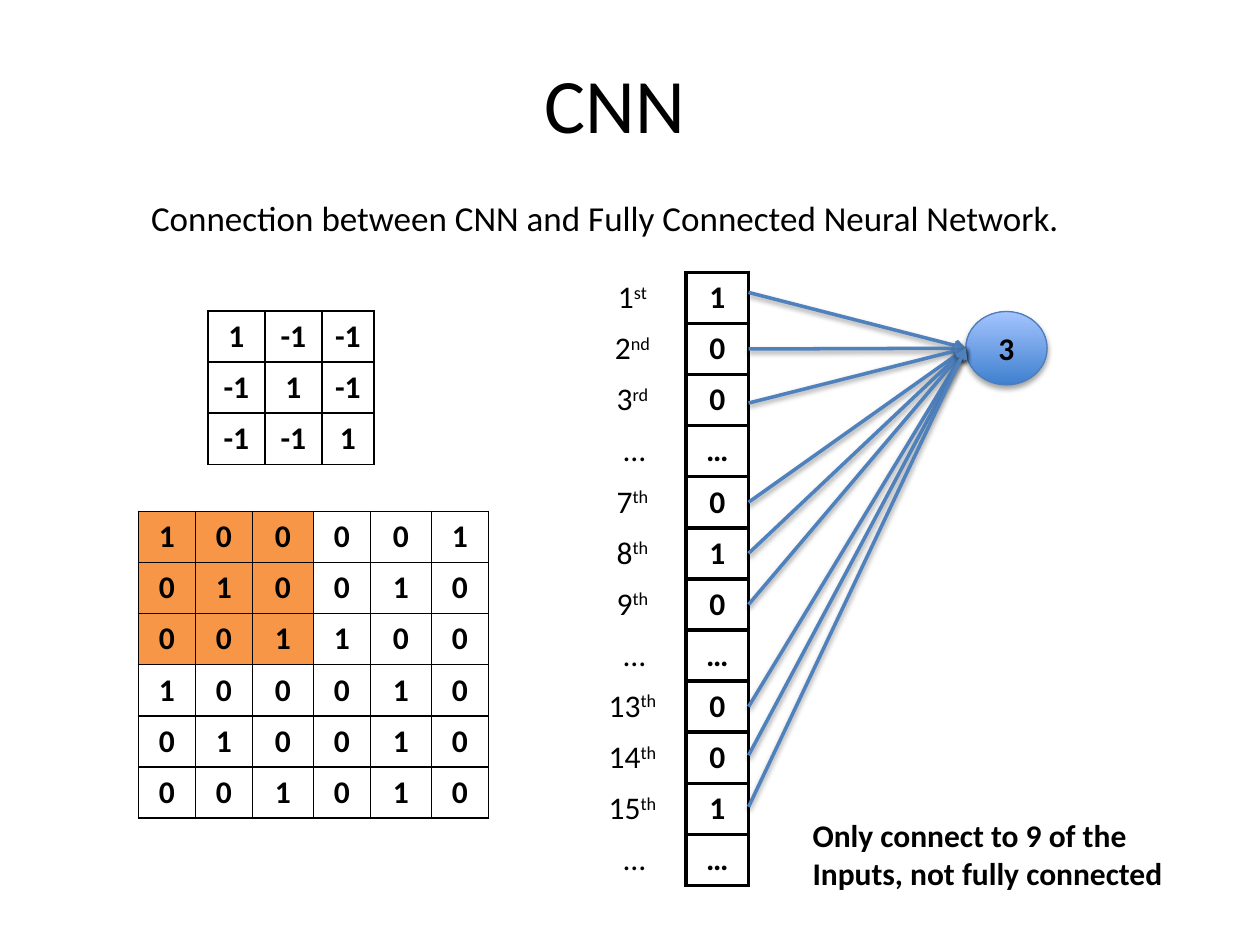
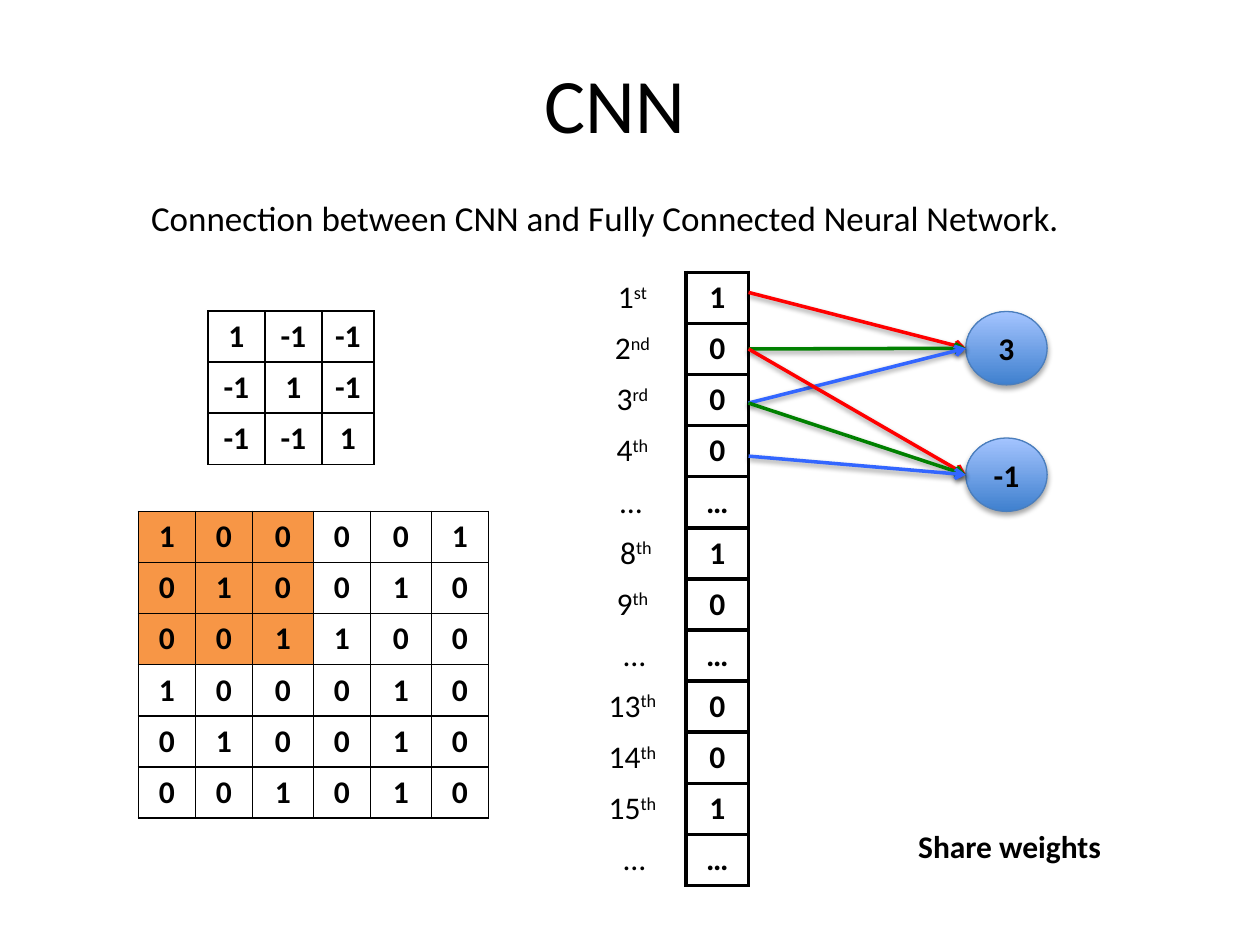
from lxml.etree import SubElement
from pptx import Presentation
from pptx.dml.color import RGBColor
from pptx.enum.shapes import MSO_CONNECTOR, MSO_SHAPE
from pptx.enum.text import MSO_ANCHOR, MSO_AUTO_SIZE, PP_ALIGN
from pptx.oxml.ns import qn
from pptx.util import Cm, Pt

COLORS = {
    "black": "000000", "white": "FFFFFF", "orange": "F79646",
    "blue": "4F81BD", "red": "FF0000", "green": "008000", "bright": "3366FF",
    "node_dark": "3F80CE", "node_light": "A4C4FF", "node_line": "4B7EBC",
}
FORMATS = {
    "title": {"name": "Calibri", "size": Pt(44)},
    "subtitle": {"name": "Calibri", "size": Pt(20)},
    "label": {"name": "Calibri", "size": Pt(18), "bold": False},
    "value": {"name": "Calibri", "size": Pt(18), "bold": True},
}

TITLE = "CNN"
SUBTITLE = "Connection between CNN and Fully Connected Neural Network."
FILTER = [[1, -1, -1], [-1, 1, -1], [-1, -1, 1]]
IMAGE = [
    [1, 0, 0, 0, 0, 1],
    [0, 1, 0, 0, 1, 0],
    [0, 0, 1, 1, 0, 0],
    [1, 0, 0, 0, 1, 0],
    [0, 1, 0, 0, 1, 0],
    [0, 0, 1, 0, 1, 0],
]
FIRST_LABELS = [("1", "st "), ("2", "nd "), ("3", "rd ")]
LAST_LABELS = [("…",), ("13", "th "), ("14", "th "), ("15", "th "), ("…",)]
LAST_INPUTS = ["…", 0, 0, 1, "…"]
SLIDES = [
    {
        "labels": [("…",), ("7", "th "), ("8", "th "), ("9", "th ")],
        "inputs": [1, 0, 0, "…", 0, 1, 0],
        "neurons": [("3", [(row, "blue") for row in (0, 1, 2, 4, 5, 6, 8, 9, 10)])],
        "note": ["Only connect to 9 of the", "Inputs, not fully connected"],
        "note_box": (16.13, 16.33, 7.67, 1.8),
    },
    {
        "labels": [("4", "th "), ("… ",), (" 8", "th "), ("9", "th ")],
        "inputs": [1, 0, 0, 0, "…", 1, 0],
        "neurons": [
            ("3", [(0, "red"), (1, "green"), (2, "bright")]),
            ("-1", [(1, "red"), (2, "green"), (3, "bright")]),
        ],
        "note": ["Share weights"],
        "note_box": (18.26, 16.54, 4.27, 1.02),
    },
]

ROW = 1.03
IMAGE_COLS = [1.15, 1.15, 1.23, 1.15, 1.23, 1.15]
FILTER_COLS = [1.15, 1.15, 1.05]
INPUT_X, INPUT_Y, INPUT_W = 13.83, 5.49, 1.26
LABEL_X, LABEL_W = 11.9, 1.78
NEURON_X, NEURON_Y, NEURON_W, NEURON_H, NEURON_STEP = 19.47, 6.28, 1.64, 1.48, 2.55
START_NUDGE = {0: -0.11, 2: 0.06, 3: 0.1, 9: -0.05, 10: -0.04}


def rgb(name):
    return RGBColor.from_string(COLORS[name])


def box(*lengths):
    return [Cm(v) for v in lengths]


def write(p, text, style, baseline=None):
    r = p.add_run()
    r.text = text
    for key, value in FORMATS[style].items():
        setattr(r.font, key, value)
    r.font.color.rgb = rgb("black")
    if baseline:
        r._r.get_or_add_rPr().set("baseline", str(baseline))


def add_shadow(sp, alpha, distance):
    effects = SubElement(sp._element.spPr, qn("a:effectLst"))
    shadow = SubElement(effects, qn("a:outerShdw"), blurRad=str(Pt(3.1)),
                        dist=str(Pt(distance)), dir="5400000", rotWithShape="0")
    color = SubElement(shadow, qn("a:srgbClr"), val=COLORS["black"])
    SubElement(color, qn("a:alpha"), val=str(alpha * 1000))


def add_borders(cell, width):
    tcPr = cell._tc.get_or_add_tcPr()
    for side in ("lnL", "lnR", "lnT", "lnB"):
        ln = SubElement(tcPr, qn(f"a:{side}"), w=str(Pt(width)))
        fill = SubElement(ln, qn("a:solidFill"))
        SubElement(fill, qn("a:srgbClr"), val=COLORS["black"])


def add_grid(s, x, y, cols, rows, style="value", border=None, marked=0):
    frame = s.shapes.add_table(len(rows), len(cols), *box(x, y, sum(cols), ROW * len(rows)))
    table = frame.table
    table.first_row = table.horz_banding = False
    for column, width in zip(table.columns, cols):
        column.width = Cm(width)
    for i, values in enumerate(rows):
        table.rows[i].height = Cm(ROW)
        for j, parts in enumerate(values):
            cell = table.cell(i, j)
            if border:
                add_borders(cell, border)
            cell.fill.solid()
            cell.fill.fore_color.rgb = rgb("orange" if max(i, j) < marked else "white")
            p = cell.text_frame.paragraphs[0]
            p.alignment = PP_ALIGN.CENTER
            number, *suffix = parts if isinstance(parts, tuple) else (str(parts),)
            write(p, number, style)
            for text in suffix:
                write(p, text, style, 30000)


def add_neuron(s, index, text):
    sp = s.shapes.add_shape(MSO_SHAPE.OVAL, *box(
        NEURON_X, NEURON_Y + index * NEURON_STEP, NEURON_W, NEURON_H))
    sp.fill.gradient()
    sp.fill.gradient_angle = 90
    for stop, color in zip(sp.fill.gradient_stops, ("node_dark", "node_light")):
        stop.color.rgb = rgb(color)
    sp.line.color.rgb = rgb("node_line")
    sp.line.width = Pt(0.75)
    add_shadow(sp, 35, 1.8)
    tf = sp.text_frame
    tf.vertical_anchor = MSO_ANCHOR.MIDDLE
    tf.word_wrap = False
    p = tf.paragraphs[0]
    p.alignment = PP_ALIGN.CENTER
    write(p, text, "value")
    return sp


def add_weight(s, row, neuron, color):
    start_y = INPUT_Y + (row + 0.5) * ROW + START_NUDGE.get(row, 0)
    end = neuron.left, neuron.top + neuron.height // 2
    c = s.shapes.add_connector(
        MSO_CONNECTOR.STRAIGHT, Cm(INPUT_X + INPUT_W), Cm(start_y), *end)
    c.end_connect(neuron, 2)
    c.end_x, c.end_y = end
    c.line.color.rgb = rgb(color)
    c.line.width = Pt(2)
    SubElement(c.line._get_or_add_ln(), qn("a:tailEnd"), type="arrow")
    add_shadow(c, 38, 1.6)


def add_note(s, lines, place):
    tf = s.shapes.add_textbox(*box(*place)).text_frame
    tf.word_wrap = False
    tf.auto_size = MSO_AUTO_SIZE.SHAPE_TO_FIT_TEXT
    for i, line in enumerate(lines):
        write(tf.add_paragraph() if i else tf.paragraphs[0], line, "value")


def fill_placeholder(sp, place, text, style, align, anchor):
    sp.left, sp.top, sp.width, sp.height = box(*place)
    sp.text_frame.vertical_anchor = anchor
    p = sp.text_frame.paragraphs[0]
    p.alignment = align
    write(p, text, style)


def build_slide(prs, content):
    s = prs.slides.add_slide(prs.slide_layouts[0])
    fill_placeholder(s.shapes.title, (1.6, 0.99, 21.59, 2.18), TITLE, "title",
                     PP_ALIGN.CENTER, MSO_ANCHOR.MIDDLE)
    fill_placeholder(s.placeholders[1], (2.79, 3.84, 19.08, 13.41), SUBTITLE, "subtitle",
                     PP_ALIGN.LEFT, MSO_ANCHOR.TOP)
    add_grid(s, 2.79, 10.31, IMAGE_COLS, IMAGE, border=1, marked=len(FILTER))
    inputs = [[value] for value in content["inputs"] + LAST_INPUTS]
    add_grid(s, INPUT_X, INPUT_Y, [INPUT_W], inputs, border=2.25)
    add_grid(s, 4.19, 6.27, FILTER_COLS, FILTER, border=1)
    labels = [[parts] for parts in FIRST_LABELS + content["labels"] + LAST_LABELS]
    add_grid(s, LABEL_X, INPUT_Y, [LABEL_W], labels, style="label")
    for index, (text, weights) in enumerate(content["neurons"]):
        neuron = add_neuron(s, index, text)
        for row, color in weights:
            add_weight(s, row, neuron, color)
    add_note(s, content["note"], content["note_box"])


def main():
    prs = Presentation()
    prs.slide_width, prs.slide_height = box(25.4, 19.05)
    for content in SLIDES:
        build_slide(prs, content)
    prs.save("out.pptx")


if __name__ == "__main__":
    main()
